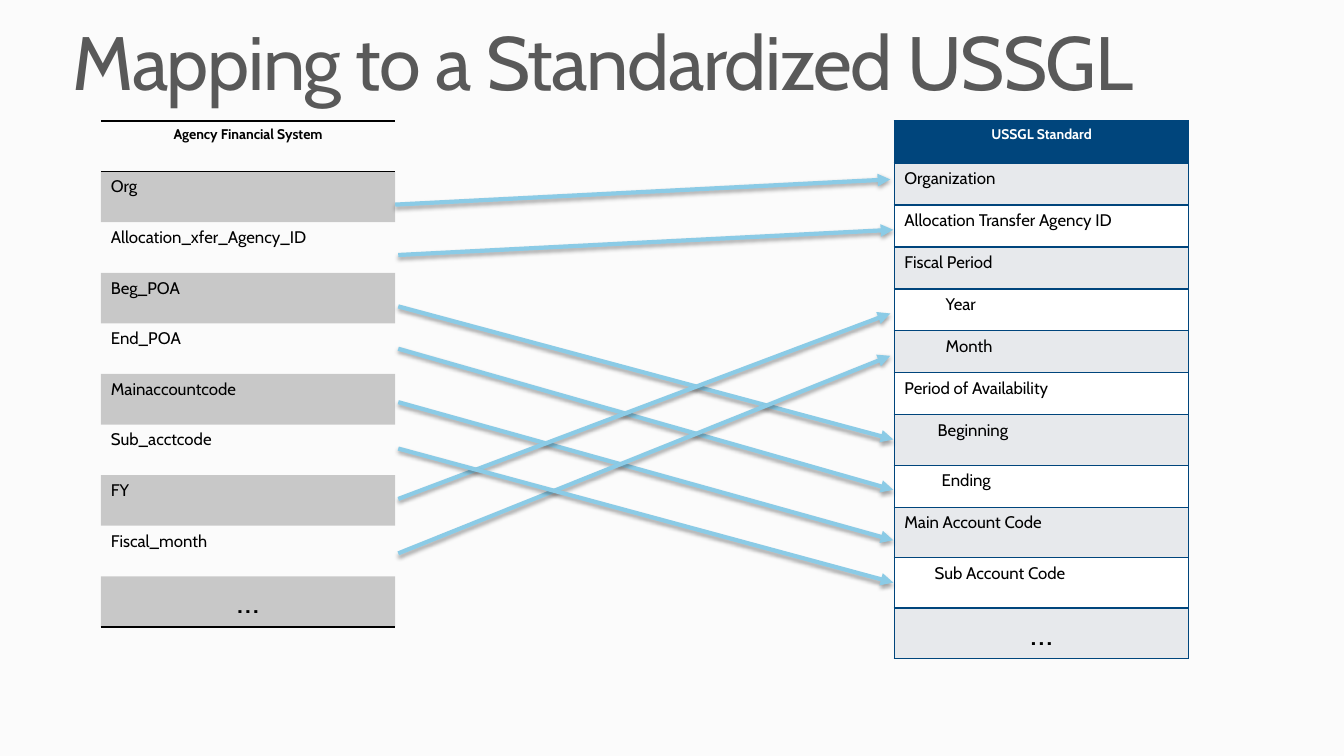
from pptx import Presentation
from pptx import util as u
from pptx.dml.color import RGBColor
from pptx.enum import shapes, text
from pptx.oxml import parse_xml
from pptx.oxml.ns import nsdecls

PAPER = RGBColor(0xFB, 0xFB, 0xFB)
GREY = RGBColor(0x59, 0x59, 0x59)
BLACK = RGBColor(0, 0, 0)
WHITE = RGBColor(0xFF, 0xFF, 0xFF)
NAVY = RGBColor(0x00, 0x45, 0x7C)
PALE = RGBColor(0xE7, 0xE9, 0xEC)
SKY = RGBColor(0x8B, 0xCB, 0xE6)
FONT = "Cabin"
TALL, LOW = 0.5, 5 / 12  # row heights

# Rows below each heading: agency names; standard names, indents, heights
AGENCY = ["Org", "Allocation_xfer_Agency_ID", "Beg_POA", "End_POA",
          "Mainaccountcode", "Sub_acctcode", "FY", "Fiscal_month", "…"]
USSGL = [("Organization", 0, LOW), ("Allocation Transfer Agency ID", 0, LOW),
         ("Fiscal Period", 0, LOW), ("Year", 0.41, LOW), ("Month", 0.41, LOW),
         ("Period of Availability", 0, LOW), ("Beginning", 0.33, TALL),
         ("Ending", 0.37, LOW), ("Main Account Code", 0, TALL),
         ("Sub Account Code", 0.3, TALL), ("…", 0, TALL)]

# Arrow ends: x1, y1, x2, y2
LINKS = [(3.92, 2.03, 8.83, 1.78), (3.95, 2.53, 8.86, 2.28),
         (3.95, 3.04, 8.86, 4.36), (3.95, 3.46, 8.86, 4.86),
         (3.95, 3.99, 8.86, 5.36), (3.95, 4.95, 8.83, 3.11),
         (3.95, 5.49, 8.83, 3.53), (3.95, 4.45, 8.86, 5.78)]


def style(run, size, color, bold=False):
    font = run.font
    font.name, font.size, font.bold = FONT, u.Pt(size), bold
    font.color.rgb = color


def title(slide, box):
    frame = slide.shapes.add_textbox(*map(u.Inches, box)).text_frame
    frame.word_wrap = True
    frame.margin_left = u.Inches(0.15)
    frame.margin_top = frame.margin_right = frame.margin_bottom = 0
    frame.text = "Mapping to a Standardized USSGL"
    para = frame.paragraphs[0]
    para.line_spacing = 0.9
    style(para.runs[0], 54, GREY)
    para.runs[0].font._element.set("spc", "-100")


def edges(cell, color, sides):
    """Draw the named sides (of L, R, T, B) and clear the others."""
    for side in "LRTB":
        paint = (f'<a:solidFill><a:srgbClr val="{color}"/></a:solidFill>'
                 if side in sides else "<a:noFill/>")
        cell._tc.get_or_add_tcPr().append(parse_xml(
            f'<a:ln{side} {nsdecls("a")} w="12700">{paint}</a:ln{side}>'))


def grid(slide, box, head, rows, ink):
    """Place a one-column table and return its cells, heading first."""
    rows = [(head, 0, rows[0][2])] + rows
    table = slide.shapes.add_table(len(rows), 1, *map(u.Inches, box)).table
    table.first_row = table.horz_banding = False
    cells = []
    for i, (name, indent, high) in enumerate(rows):
        table.rows[i].height = u.Inches(high)
        cell = table.cell(i, 0)
        cell.margin_left = u.Inches(0.1 + indent)
        cell.text = name
        para = cell.text_frame.paragraphs[0]
        if i == 0 or name == "…":
            para.alignment = text.PP_ALIGN.CENTER
        size = 10 if i == 0 else 24 if name == "…" else 12
        style(para.runs[0], size, BLACK if i else ink, i == 0)
        cells.append(cell)
    return cells


def agency(slide, box):
    high = box[3] / (len(AGENCY) + 1)
    rows = [(name, 0, high) for name in AGENCY]
    cells = grid(slide, box, "Agency Financial System", rows, BLACK)
    last = len(cells) - 1
    for i, cell in enumerate(cells):
        edges(cell, BLACK, {0: "TB", 1: "T", last: "B"}.get(i, ""))
        if i % 2:
            cell.fill.solid()
            cell.fill.fore_color.rgb = BLACK
            tint = cell._tc.tcPr.find(".//{*}solidFill[last()]")
            tint = cell._tc.tcPr.findall("{*}solidFill")[0][0]
            tint.append(parse_xml(f'<a:alpha {nsdecls("a")} val="20000"/>'))
        else:
            cell.fill.background()


def ussgl(slide, box):
    cells = grid(slide, box, "USSGL Standard", USSGL, WHITE)
    for i, cell in enumerate(cells):
        edges(cell, NAVY, "LRTB")
        cell.fill.solid()
        cell.fill.fore_color.rgb = NAVY if i == 0 else PALE if i % 2 else WHITE


def arrow(slide, ends):
    line = slide.shapes.add_connector(
        shapes.MSO_CONNECTOR.STRAIGHT, *map(u.Inches, ends))
    line.line.color.rgb = SKY
    line.line.width = u.Pt(3)
    line.line._get_or_add_ln().append(
        parse_xml(f'<a:tailEnd {nsdecls("a")} type="triangle"/>'))
    # Soft shadow straight below
    line._element.spPr.append(parse_xml(
        f'<a:effectLst {nsdecls("a")}><a:outerShdw blurRad="39370" '
        'dist="22860" dir="5400000" rotWithShape="0"><a:srgbClr val="000000">'
        '<a:alpha val="35000"/></a:srgbClr></a:outerShdw></a:effectLst>'))


def main():
    deck = Presentation()
    deck.slide_width, deck.slide_height = u.Inches(13.33), u.Inches(7.5)
    slide = deck.slides.add_slide(deck.slide_layouts[6])
    slide.background.fill.solid()
    slide.background.fill.fore_color.rgb = PAPER
    title(slide, (0.57, 0.25, 12.19, 0.82))
    agency(slide, (1, 1.2, 2.92, 5.02))
    ussgl(slide, (8.87, 1.2, 2.92, 5.33))
    for ends in LINKS:
        arrow(slide, ends)
    deck.save("out.pptx")


if __name__ == "__main__":
    main()
